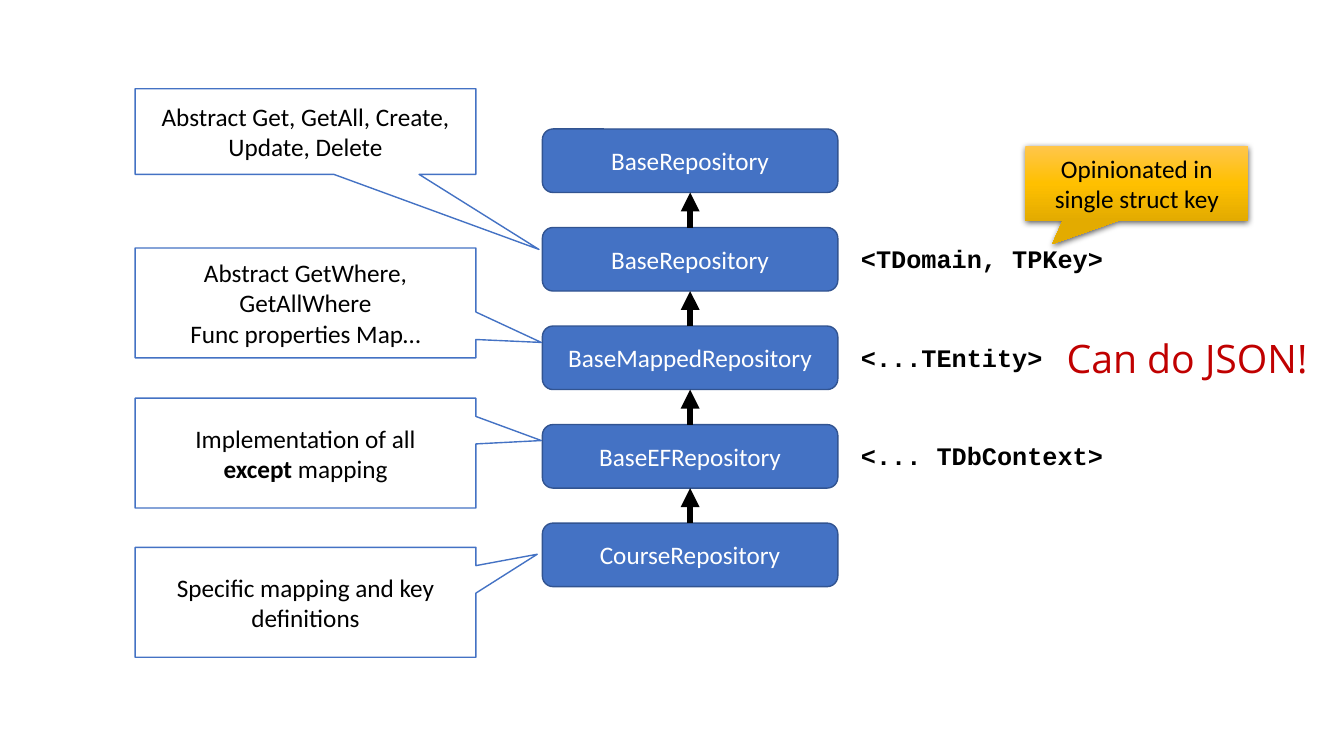
from copy import deepcopy
from typing import NamedTuple

from lxml import etree
from pptx import Presentation
from pptx.dml.color import RGBColor
from pptx.enum.shapes import MSO_CONNECTOR, MSO_SHAPE
from pptx.enum.text import MSO_ANCHOR, MSO_AUTO_SIZE, PP_ALIGN
from pptx.oxml.ns import qn
from pptx.shapes.autoshape import Shape
from pptx.shapes.shapetree import SlideShapes
from pptx.util import Inches, Pt

ROUNDED = MSO_SHAPE.ROUNDED_RECTANGLE
CALLOUT = MSO_SHAPE.RECTANGULAR_CALLOUT
STRAIGHT = MSO_CONNECTOR.STRAIGHT
MIDDLE = MSO_ANCHOR.MIDDLE
CENTER = PP_ALIGN.CENTER
GROW = MSO_AUTO_SIZE.SHAPE_TO_FIT_TEXT

BLACK = RGBColor(0x00, 0x00, 0x00)
WHITE = RGBColor(0xFF, 0xFF, 0xFF)
BLUE = RGBColor(0x44, 0x72, 0xC4)
DARK_BLUE = RGBColor(0x32, 0x54, 0x91)
RED = RGBColor(0xC0, 0x00, 0x00)
GOLD_STOPS = (
    (0.0, RGBColor(0xFF, 0xC6, 0x4B)),
    (0.5, RGBColor(0xFF, 0xC0, 0x00)),
    (1.0, RGBColor(0xE3, 0xAB, 0x00)),
)

BODY_FONT, CODE_FONT, REMARK_FONT = "Calibri", "Courier New", "Open Sans"

CLASS_LEFT, CLASS_WIDTH, CLASS_HEIGHT = 5.38, 2.93, 0.63
FIRST_TOP, LAST_TOP = 1.28, 5.19
NOTE_LEFT, NOTE_WIDTH = 1.34, 3.38


class Run(NamedTuple):
    text: str
    bold: bool = False


class RepositoryClass(NamedTuple):
    name: str
    type_parameters: str = ""


class Note(NamedTuple):
    """Explanation box; a paragraph is a list of lines, a line a list of runs."""
    top: float
    height: float
    tip: tuple[float, float]
    paragraphs: list[list[list[Run]]]


HIERARCHY = [
    RepositoryClass("BaseRepository"),
    RepositoryClass("BaseRepository", "<TDomain, TPKey>"),
    RepositoryClass("BaseMappedRepository", "<...TEntity>"),
    RepositoryClass("BaseEFRepository", "<... TDbContext>"),
    RepositoryClass("CourseRepository"),
]
CLASS_PITCH = (LAST_TOP - FIRST_TOP) / (len(HIERARCHY) - 1)

NOTES = [
    Note(0.88, 0.85, (0.685, 1.376),
         [[[Run("Abstract Get, GetAll, Create, Update, Delete")]]]),
    Note(2.46, 1.09, (0.692, 0.36),
         [[[Run("Abstract GetWhere, GetAllWhere")]], [[Run("Func properties Map…")]]]),
    Note(3.95, 1.09, (0.692, -0.114),
         [[[Run("Implementation of all")], [Run("except ", True), Run("mapping")]]]),
    Note(5.43, 1.09, (0.68, -0.437),
         [[[Run("Specific mapping and key definitions")]]]),
]
OPINION = Note(1.45, 0.74, (-0.379, 0.812), [[[Run("Opinionated in single struct key")]]])


def add_class_box(shapes: SlideShapes, name: str, top: float) -> None:
    box = shapes.add_shape(ROUNDED, Inches(CLASS_LEFT), Inches(top),
                           Inches(CLASS_WIDTH), Inches(CLASS_HEIGHT))
    box.shadow.inherit = False
    box.fill.solid()
    box.fill.fore_color.rgb = BLUE
    box.line.color.rgb = DARK_BLUE
    box.line.width = Pt(1)
    box.text_frame.vertical_anchor = MIDDLE
    paragraph = box.text_frame.paragraphs[0]
    paragraph.text = name
    paragraph.alignment = CENTER
    paragraph.font.name = BODY_FONT
    paragraph.font.size = Pt(18)
    paragraph.font.color.rgb = WHITE


def add_inheritance_arrow(shapes: SlideShapes, child_top: float) -> None:
    """Point from the top of a class to the bottom of its parent."""
    center = Inches(CLASS_LEFT + CLASS_WIDTH / 2)
    parent_bottom = child_top - CLASS_PITCH + CLASS_HEIGHT
    arrow = shapes.add_connector(STRAIGHT, center, Inches(child_top),
                                 center, Inches(parent_bottom))
    arrow.line.color.rgb = BLACK
    arrow.line.width = Pt(4.5)
    properties = arrow.element.spPr
    etree.SubElement(properties.find(qn("a:ln")), qn("a:tailEnd"), type="triangle")
    etree.SubElement(properties, qn("a:effectLst"))


def add_label(shapes: SlideShapes, text: str, left: float, top: float, width: float,
              height: float, font_name: str, size: float, color: RGBColor,
              bold: bool = False, wrap: bool = True) -> None:
    label = shapes.add_textbox(Inches(left), Inches(top), Inches(width), Inches(height))
    label.text_frame.word_wrap = wrap
    label.text_frame.auto_size = GROW
    paragraph = label.text_frame.paragraphs[0]
    paragraph.text = text
    paragraph.font.name = font_name
    paragraph.font.size = Pt(size)
    paragraph.font.color.rgb = color
    paragraph.font.bold = bold


def add_callout(shapes: SlideShapes, note: Note, left: float, width: float) -> Shape:
    """Add a note's box and text, leaving fill and line to the caller."""
    callout = shapes.add_shape(CALLOUT, Inches(left), Inches(note.top),
                               Inches(width), Inches(note.height))
    callout.adjustments[0], callout.adjustments[1] = note.tip
    callout.shadow.inherit = False
    frame = callout.text_frame
    frame.vertical_anchor = MIDDLE
    for index, lines in enumerate(note.paragraphs):
        paragraph = frame.add_paragraph() if index else frame.paragraphs[0]
        paragraph.alignment = CENTER
        paragraph.font.name = BODY_FONT
        paragraph.font.size = Pt(18)
        paragraph.font.color.rgb = BLACK
        for line_index, line in enumerate(lines):
            if line_index:
                paragraph.add_line_break()
            for part in line:
                run = paragraph.add_run()
                run.text = part.text
                if part.bold:
                    run.font.bold = True
    return callout


def add_note(shapes: SlideShapes, note: Note) -> None:
    callout = add_callout(shapes, note, NOTE_LEFT, NOTE_WIDTH)
    callout.fill.solid()
    callout.fill.fore_color.rgb = WHITE
    callout.line.color.rgb = BLUE
    callout.line.width = Pt(1)


def add_opinion(shapes: SlideShapes) -> None:
    callout = add_callout(shapes, OPINION, 10.17, 2.21)
    callout.line.fill.background()
    callout.fill.gradient()
    callout.fill.gradient_angle = 270
    properties = callout.element.spPr
    stop_list = properties.find(".//" + qn("a:gsLst"))
    stop_list.insert(1, deepcopy(stop_list[0]))
    for stop, (position, color) in zip(callout.fill.gradient_stops, GOLD_STOPS):
        stop.position = position
        stop.color.rgb = color
    shadow = etree.SubElement(properties.find(qn("a:effectLst")), qn("a:outerShdw"),
                              blurRad=str(Pt(4.5)), dist=str(Pt(1.5)),
                              dir="5400000", algn="ctr", rotWithShape="0")
    shadow_color = etree.SubElement(shadow, qn("a:srgbClr"), val=str(BLACK))
    etree.SubElement(shadow_color, qn("a:alpha"), val="63000")


def main() -> None:
    presentation = Presentation()
    presentation.slide_width = Inches(13.33)
    presentation.slide_height = Inches(7.5)
    shapes = presentation.slides.add_slide(presentation.slide_layouts[6]).shapes

    for level, repository in enumerate(HIERARCHY):
        top = FIRST_TOP + level * CLASS_PITCH
        add_class_box(shapes, repository.name, top)
        if level:
            add_inheritance_arrow(shapes, top)
        if repository.type_parameters:
            add_label(shapes, repository.type_parameters, 8.44, top + 0.11, 2.69, 0.4,
                      CODE_FONT, 18, BLACK, bold=True)
    add_opinion(shapes)
    for note in NOTES:
        add_note(shapes, note)
    add_label(shapes, "Can do JSON!", 10.48, 3.27, 2.61, 0.57,
              REMARK_FONT, 28, RED, wrap=False)
    presentation.save("out.pptx")


if __name__ == "__main__":
    main()
